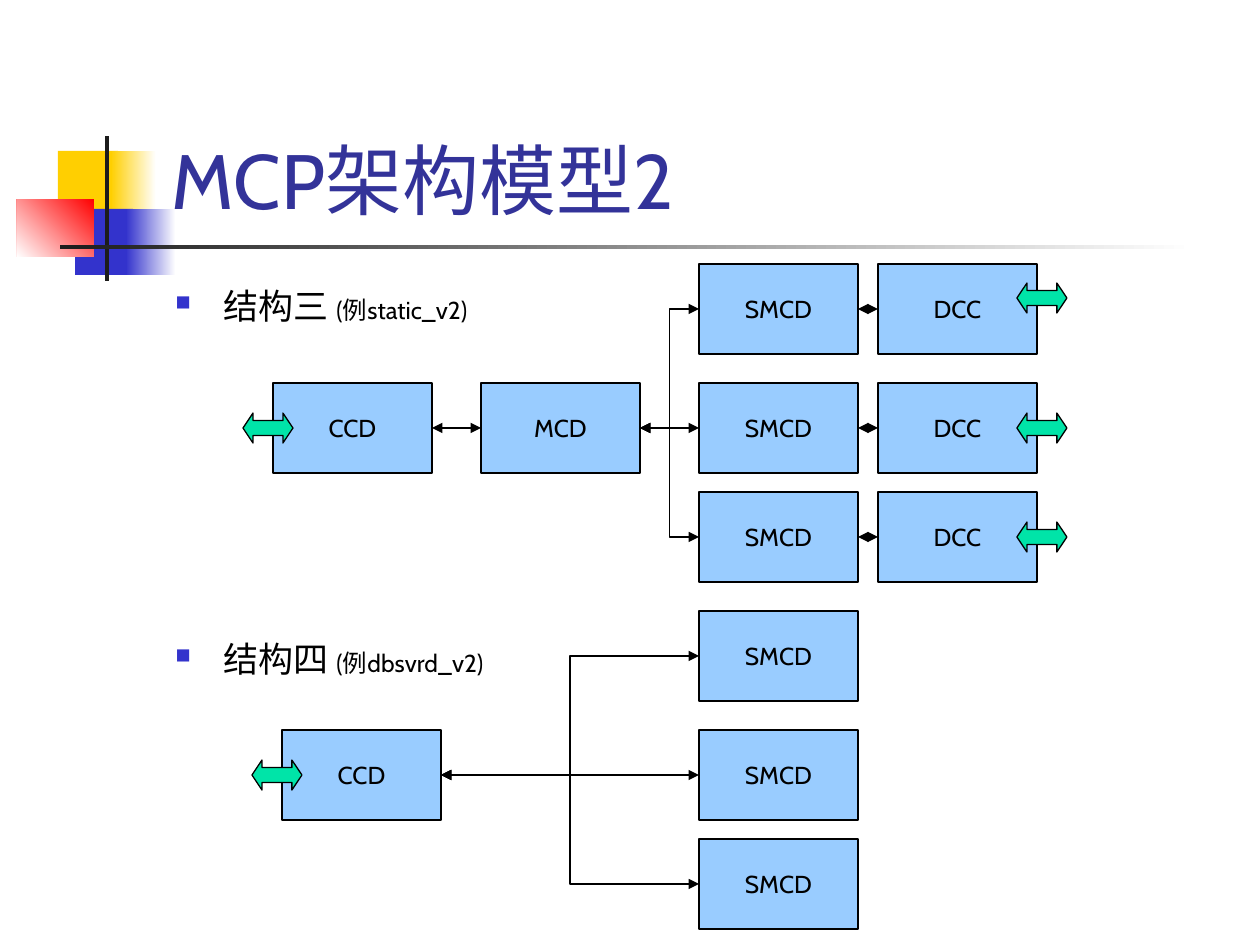
"""Builds the slide on MCP architecture model 2 with its two process diagrams."""
from lxml import etree
from pptx import Presentation
from pptx import util as u
from pptx.dml.color import RGBColor
from pptx.enum import shapes, text
from pptx.oxml.ns import qn

PX = 914400 / 126
FONT = "Cabin"
BLACK = RGBColor(0x00, 0x00, 0x00)
WHITE = RGBColor(0xFF, 0xFF, 0xFF)
INK = RGBColor(0x1C, 0x1C, 0x1C)
YELLOW = RGBColor(0xFF, 0xCF, 0x01)
BLUE = RGBColor(0x33, 0x33, 0xCC)
RED = RGBColor(0xFF, 0x00, 0x00)
TITLE_BLUE = RGBColor(0x33, 0x33, 0x99)
BOX_BLUE = RGBColor(0x99, 0xCC, 0xFF)
GREEN = RGBColor(0x00, 0xE4, 0xA8)

TITLE = "MCP架构模型2"
TITLE_AREA = (159, 29, 1074, 202)
DECORATION = [
    ((58, 151, 60, 66), [YELLOW], 0),
    ((111, 151, 45, 66), [WHITE, YELLOW], 180),
    ((75, 209, 58, 66), [BLUE], 0),
    ((126, 209, 50, 66), [WHITE, BLUE], 180),
    ((17, 199, 77, 58), [RED, WHITE], 225),
    ((105, 136, 4, 145), [INK], 0),
    ((60, 245, 1134, 4), [WHITE, INK], 180),
]
HEADINGS = [(278, "结构三 ", "(例static_v2)"), (631, "结构四 ", "(例dbsvrd_v2)")]
HEADING_LEFT, HEADING_WIDTH, HEADING_HEIGHT = 163, 400, 60

BOX_WIDTH, BOX_HEIGHT = 159, 90
ARROW_WIDTH, ARROW_HEIGHT = 50, 30
ROWS = [264, 383, 492]
MIDDLE_ROW = 1
PORT_DROPS = [19, 30, 30]
SMCD_LEFT, DCC_LEFT = 699, 878
DIAGRAMS = [
    {"top": 0, "chain": [("CCD", 273), ("MCD", 481)], "workers": True},
    {"top": 347, "chain": [("CCD", 282)], "workers": False},
]


def px(*lengths):
    return [u.Emu(round(length * PX)) for length in lengths]


def apply_format(target, values):
    for name, value in values.items():
        setattr(target, name, value)


def add_run(paragraph, words, size, colour=BLACK):
    run = paragraph.add_run()
    run.text = words
    apply_format(run.font, {"name": FONT, "size": u.Pt(size), "bold": False})
    run.font.color.rgb = colour


def outline(item):
    item.line.color.rgb = BLACK
    item.line.width = u.Pt(0.75)


def add_filled(slide, kind, area, colours, angle=0):
    shape = slide.shapes.add_shape(kind, *px(*area))
    shape.shadow.inherit = False
    if len(colours) == 1:
        shape.fill.solid()
        shape.fill.fore_color.rgb = colours[0]
    else:
        shape.fill.gradient()
        shape.fill.gradient_angle = angle
        for stop, colour in zip(shape.fill.gradient_stops, colours):
            stop.color.rgb = colour
    shape.line.fill.background()
    return shape


def add_box(slide, label, left, top):
    area = (left, top, BOX_WIDTH, BOX_HEIGHT)
    box = add_filled(slide, shapes.MSO_SHAPE.RECTANGLE, area, [BOX_BLUE])
    outline(box)
    apply_format(box.text_frame, {"word_wrap": False, "vertical_anchor": text.MSO_ANCHOR.MIDDLE})
    paragraph = box.text_frame.paragraphs[0]
    paragraph.alignment = text.PP_ALIGN.CENTER
    add_run(paragraph, label, 14)
    return box


def add_port(slide, left, top):
    area = (left, top, ARROW_WIDTH, ARROW_HEIGHT)
    port = add_filled(slide, shapes.MSO_SHAPE.LEFT_RIGHT_ARROW, area, [GREEN])
    port.adjustments[1] = 0.334
    outline(port)


def link(slide, start, end):
    kind = shapes.MSO_CONNECTOR.STRAIGHT if start.top == end.top else shapes.MSO_CONNECTOR.ELBOW
    connector = slide.shapes.add_connector(kind, 0, 0, 0, 0)
    connector.begin_connect(start, 3)
    connector.end_connect(end, 1)
    outline(connector)
    line = connector.line._get_or_add_ln()
    for tag in ("a:headEnd", "a:tailEnd"):
        etree.SubElement(line, qn(tag), type="triangle")
    etree.SubElement(connector._element.spPr, qn("a:effectLst"))


def add_title(slide):
    title = slide.shapes.title
    apply_format(title, dict(zip(("left", "top", "width", "height"), px(*TITLE_AREA))))
    apply_format(title.text_frame, {
        "vertical_anchor": text.MSO_ANCHOR.BOTTOM,
        "auto_size": text.MSO_AUTO_SIZE.NONE,
        "word_wrap": True,
    })
    paragraph = title.text_frame.paragraphs[0]
    paragraph.alignment = text.PP_ALIGN.LEFT
    add_run(paragraph, TITLE, 44, TITLE_BLUE)


def add_heading(slide, top, name, example):
    box = slide.shapes.add_textbox(*px(HEADING_LEFT, top, HEADING_WIDTH, HEADING_HEIGHT))
    box.text_frame.word_wrap = True
    paragraph = box.text_frame.paragraphs[0]
    paragraph.space_before = u.Pt(3.5)
    add_run(paragraph, name, 20)
    add_run(paragraph, example, 14)
    properties = paragraph._p.get_or_add_pPr()
    indent = px(48)[0]
    properties.set("marL", str(indent))
    properties.set("indent", str(-indent))
    colour = etree.SubElement(properties, qn("a:buClr"))
    etree.SubElement(colour, qn("a:srgbClr"), val=str(BLUE))
    etree.SubElement(properties, qn("a:buSzPct"), val="60000")
    etree.SubElement(properties, qn("a:buChar"), char="■")


def add_diagram(slide, top, chain, workers):
    rows = [top + row for row in ROWS]
    middle = rows[MIDDLE_ROW]
    chain_boxes = [add_box(slide, label, left, middle) for label, left in chain]
    for start, end in zip(chain_boxes, chain_boxes[1:]):
        link(slide, start, end)
    add_port(slide, chain[0][1] - 30, middle + 30)
    for row, drop in zip(rows, PORT_DROPS):
        smcd = add_box(slide, "SMCD", SMCD_LEFT, row)
        link(slide, chain_boxes[-1], smcd)
        if workers:
            link(slide, smcd, add_box(slide, "DCC", DCC_LEFT, row))
            add_port(slide, DCC_LEFT + BOX_WIDTH - 20, row + drop)


def main():
    presentation = Presentation()
    apply_format(presentation, {"slide_width": u.Inches(10), "slide_height": u.Inches(7.5)})
    slide = presentation.slides.add_slide(presentation.slide_layouts[5])
    for area, colours, angle in DECORATION:
        add_filled(slide, shapes.MSO_SHAPE.RECTANGLE, area, colours, angle)
    add_title(slide)
    for heading in HEADINGS:
        add_heading(slide, *heading)
    for diagram in DIAGRAMS:
        add_diagram(slide, **diagram)
    presentation.save("out.pptx")


if __name__ == "__main__":
    main()
